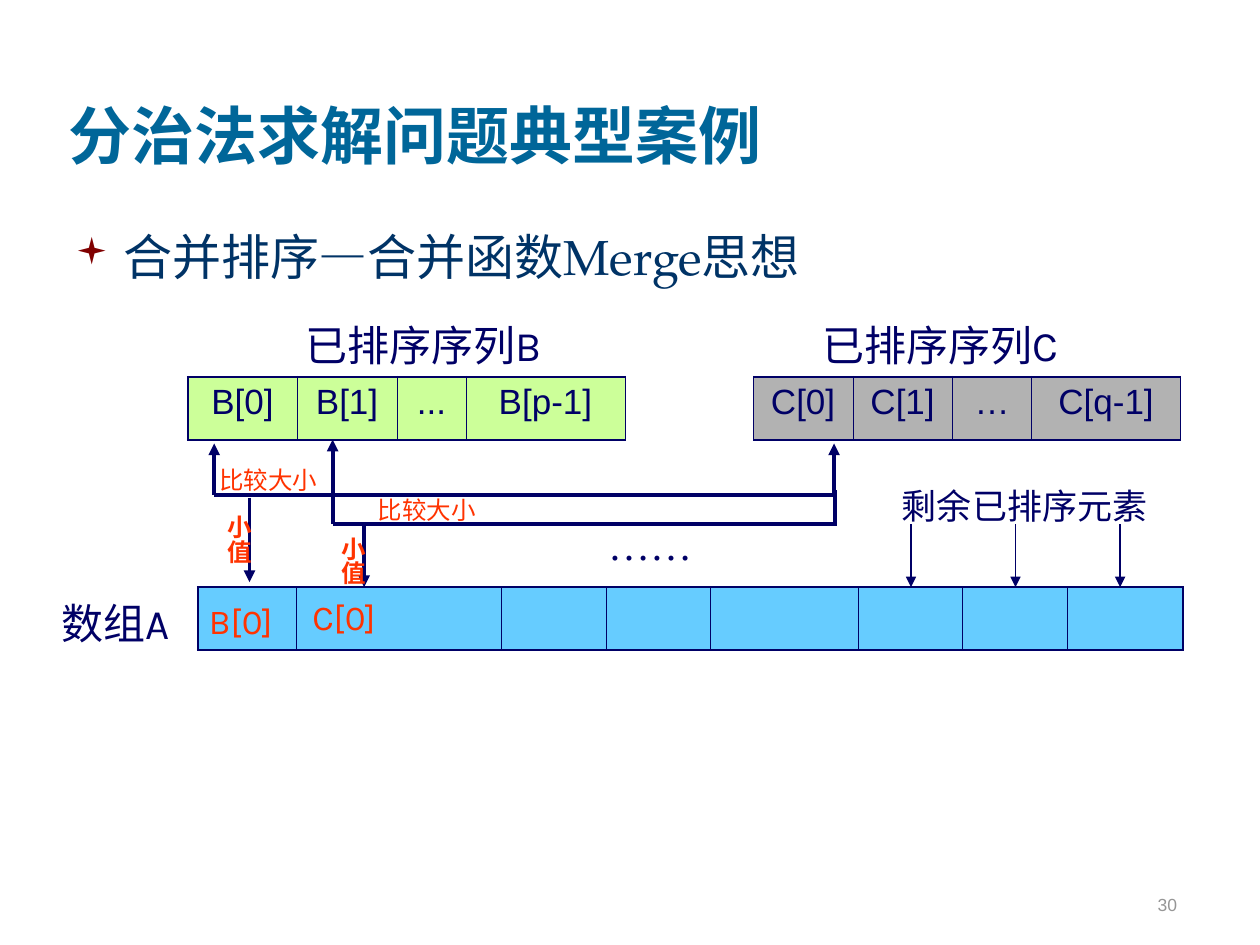
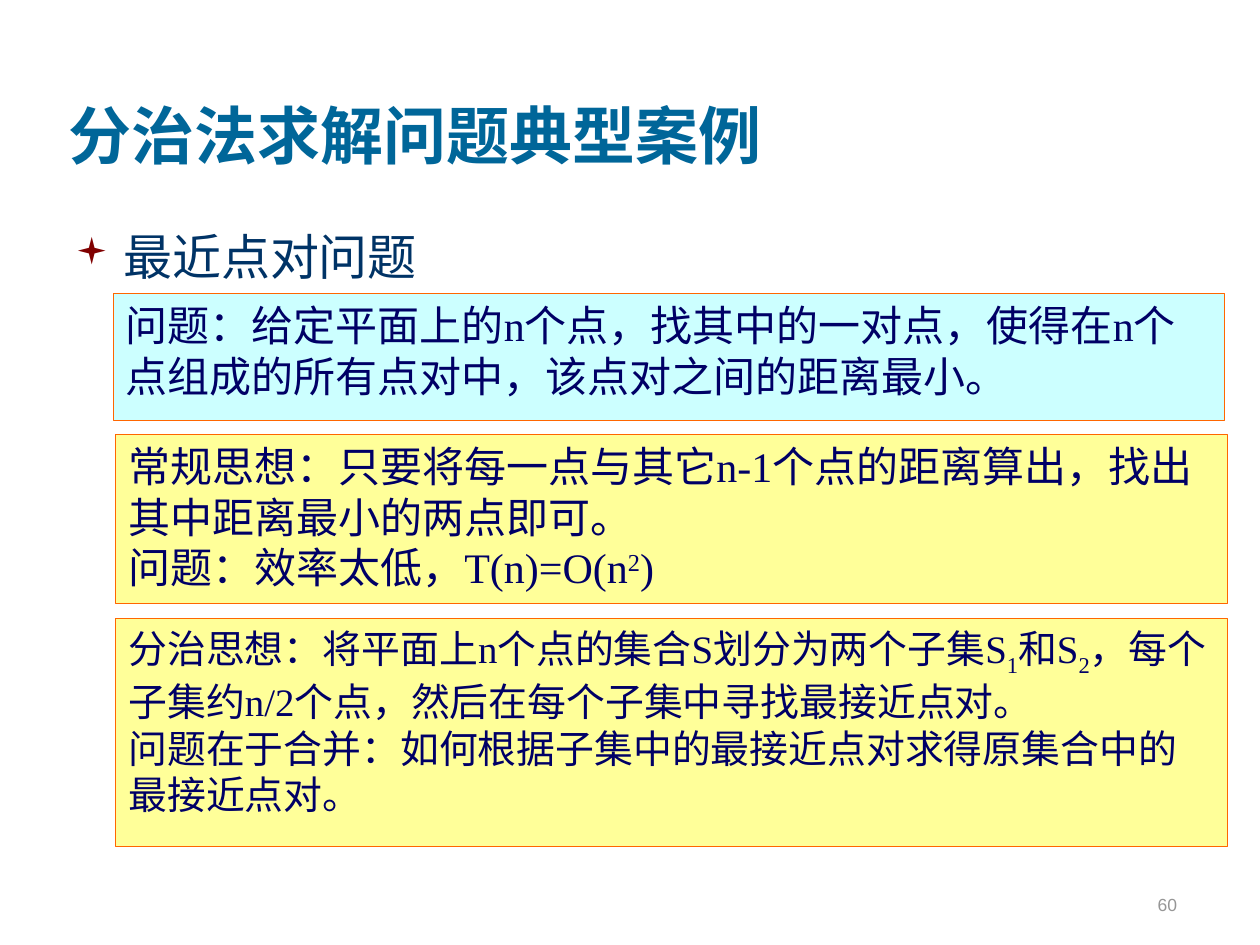
"""Build two slides on divide and conquer: merging sorted arrays and the closest pair."""
from lxml import etree
from pptx import Presentation
from pptx.dml.color import RGBColor
from pptx.enum import shapes, text
from pptx.oxml import ns
from pptx.util import Inches, Pt

C = {"title": "006699", "body": "003366", "bullet": "800000", "navy": "000066",
     "red": "FF3300", "page": "969696", "orange": "FF6600", "green": "CCFF99",
     "grey": "B2B2B2", "blue": "66CCFF", "white": "FFFFFF", "cyan": "CCFFFF",
     "yellow": "FFFF99"}
LEFT, CENTER, RIGHT = text.PP_ALIGN.LEFT, text.PP_ALIGN.CENTER, text.PP_ALIGN.RIGHT


def write(tf, paras, size, font, color, bold=False, align=LEFT):
    """Fill a text frame; each paragraph is a list of (text, baseline) runs."""
    for i, runs in enumerate(paras):
        p = tf.add_paragraph() if i else tf.paragraphs[0]
        p.alignment = align
        for words, baseline in runs:
            r = p.add_run()
            r.text = words
            r.font.size, r.font.name, r.font.bold = Pt(size), font, bold
            r.font.color.rgb = RGBColor.from_string(C[color])
            if baseline:
                r.font._element.set("baseline", str(baseline * 1000))


def add_line(s, x1, y1, x2, y2, width=2.25, arrow=True):
    """Draw a navy line, with an arrowhead at its end if wanted."""
    sp = s.shapes.add_connector(shapes.MSO_CONNECTOR.STRAIGHT, *map(Inches, (x1, y1, x2, y2)))
    sp.line.color.rgb = RGBColor.from_string(C["navy"])
    sp.line.width = Pt(width)
    if arrow:
        etree.SubElement(sp.line._get_or_add_ln(), ns.qn("a:tailEnd"), type="triangle")
    etree.SubElement(sp._element.spPr, ns.qn("a:effectLst"))


prs = Presentation()
prs.slide_width, prs.slide_height = Inches(10), Inches(7.5)

slides = []
for topic, page in [("合并排序—合并函数Merge思想", "30"), ("最近点对问题", "60")]:
    s = prs.slides.add_slide(prs.slide_layouts[5])
    slides.append(s)
    title = s.shapes.title
    title.left, title.top, title.width, title.height = map(Inches, (0.44, 0.17, 8.5, 1.25))
    tf = title.text_frame
    tf.auto_size = text.MSO_AUTO_SIZE.NONE
    tf.vertical_anchor = text.MSO_ANCHOR.BOTTOM
    write(tf, [[("分治法求解问题典型案例", 0)]], 36, "Times New Roman", "title", bold=True)

    tf = s.shapes.add_textbox(*map(Inches, (0.5, 1.75, 8.94, 4.88))).text_frame
    tf.word_wrap = True
    pPr = tf.paragraphs[0]._p.get_or_add_pPr()
    pPr.set("marL", str(Inches(0.38)))
    pPr.set("indent", str(-Inches(0.38)))
    clr = etree.SubElement(pPr, ns.qn("a:buClr"))
    etree.SubElement(clr, ns.qn("a:srgbClr"), val=C["bullet"])
    etree.SubElement(pPr, ns.qn("a:buSzPct"), val="75000")
    etree.SubElement(pPr, ns.qn("a:buFont"), typeface="Wingdings", charset="2")
    etree.SubElement(pPr, ns.qn("a:buChar"), char="▪")
    write(tf, [[(topic, 0)]], 28, "TeX Gyre Pagella", "body")

    tf = s.shapes.add_textbox(*map(Inches, (7.36, 6.81, 2.08, 0.5))).text_frame
    tf.word_wrap = True
    tf.vertical_anchor = text.MSO_ANCHOR.BOTTOM
    write(tf, [[(page, 0)]], 10, "Arial", "page", align=RIGHT)

merge, closest = slides

sequences = [("B[0]", 0.87, "green"), ("B[1]", 0.79, "green"), ("...", 0.55, "green"),
             ("B[p-1]", 1.26, "green"), ("", 1.02, "white"), ("C[0]", 0.79, "grey"),
             ("C[1]", 0.79, "grey"), ("…", 0.63, "grey"), ("C[q-1]", 1.18, "grey")]
array = [("", w, "blue") for w in (0.78, 1.63, 0.83, 0.83, 1.17, 0.83, 0.83, 0.92)]
for x, y, cells in [(1.49, 2.99, sequences), (1.57, 4.66, array)]:
    width = sum(w for _, w, _ in cells)
    tbl = merge.shapes.add_table(1, len(cells), *map(Inches, (x, y, width, 0.5))).table
    tbl.first_row = tbl.horz_banding = False
    for i, (words, w, fill) in enumerate(cells):
        tbl.columns[i].width = Inches(w)
        cell = tbl.cell(0, i)
        if words:
            write(cell.text_frame, [[(words, 0)]], 20, "Arial", "navy", align=CENTER)
        edge = 0 if fill == "white" else 1.08
        borders = {"lnL": 0.45 if i else 1.08, "lnR": 0.45 if i < len(cells) - 1 else 1.08,
                   "lnT": edge, "lnB": edge}
        tcPr = cell._tc.get_or_add_tcPr()
        for tag, pts in borders.items():
            ln = etree.SubElement(tcPr, ns.qn("a:" + tag), w=str(Pt(pts)))
            if pts:
                solid = etree.SubElement(ln, ns.qn("a:solidFill"))
                etree.SubElement(solid, ns.qn("a:srgbClr"), val=C["navy"])
            else:
                etree.SubElement(ln, ns.qn("a:noFill"))
        cell.fill.solid()
        cell.fill.fore_color.rgb = RGBColor.from_string(C[fill])

for x1, y1, x2, y2, arrow in [
        (1.7, 3.93, 1.7, 3.52, True), (1.7, 3.93, 6.62, 3.93, False),
        (6.62, 3.93, 6.62, 3.52, True), (1.98, 3.95, 1.98, 4.62, True),
        (2.64, 4.16, 2.64, 3.49, True), (2.64, 4.16, 6.64, 4.16, False),
        (6.63, 4.14, 6.63, 3.89, False), (2.89, 4.16, 2.89, 4.66, True)]:
    add_line(merge, x1, y1, x2, y2, arrow=arrow)
for i in range(3):
    x = 7.23 + 0.83 * i
    add_line(merge, x, 4.16, x, 4.66, width=0.75)

for words, x, y, w, h, size, font, color in [
        ("已排序序列B", 2.33, 2.49, 2.16, 0.5, 24, "Karla", "navy"),
        ("已排序序列C", 6.43, 2.49, 2.15, 0.5, 24, "Karla", "navy"),
        ("数组A", 0.34, 4.69, 1.16, 0.5, 24, "Karla", "navy"),
        ("比较大小", 1.64, 3.64, 0.98, 0.34, 14, "Karla", "red"),
        ("比较大小", 2.9, 3.88, 0.98, 0.34, 14, "Karla", "red"),
        ("小值", 1.63, 3.99, 0.43, 0.49, 14, "Karla", "red"),
        ("小值", 2.54, 4.16, 0.43, 0.49, 14, "Karla", "red"),
        ("B[0]", 1.56, 4.71, 0.72, 0.44, 20, "Karla", "red"),
        ("C[0]", 2.38, 4.68, 0.72, 0.44, 20, "Karla", "red"),
        ("……", 4.69, 4.07, 0.94, 0.5, 24, "Times New Roman", "navy"),
        ("剩余已排序元素", 7.06, 3.8, 2.15, 0.44, 20, "Karla", "navy")]:
    tf = merge.shapes.add_textbox(*map(Inches, (x, y, w, h))).text_frame
    tf.word_wrap = False
    tf.auto_size = text.MSO_AUTO_SIZE.SHAPE_TO_FIT_TEXT
    vertical = words == "小值"
    if vertical:
        tf._txBody.bodyPr.set("vert", "eaVert")
    write(tf, [[(words, 0)]], size, font, color, bold=vertical,
          align=CENTER if words in ("数组A", "……") else LEFT)

problem = [[("问题：给定平面上的n个点，找其中的一对点，使得在n个点组成的所有点对中，该点对之间的距离最小。", 0)]]
usual = [[("常规思想：只要将每一点与其它n-1个点的距离算出，找出其中距离最小的两点即可。", 0)],
         [("问题：效率太低，T(n)=O(n", 0), ("2", 30), (")", 0)]]
divide = [[("分治思想：将平面上n个点的集合S划分为两个子集S", 0), ("1", -25), ("和S", 0), ("2", -25),
           ("，每个子集约n/2个点，然后在每个子集中寻找最接近点对。", 0)],
          [("问题在于合并：如何根据子集中的最接近点对求得原集合中的最接近点对。", 0)]]
for paras, x, y, h, size, fill in [(problem, 0.9, 2.33, 1.01, 24, "cyan"),
                                   (usual, 0.92, 3.45, 1.34, 24, "yellow"),
                                   (divide, 0.92, 4.91, 1.81, 22.2, "yellow")]:
    sp = closest.shapes.add_shape(shapes.MSO_SHAPE.RECTANGLE, *map(Inches, (x, y, 8.82, h)))
    sp.shadow.inherit = False
    sp.fill.solid()
    sp.fill.fore_color.rgb = RGBColor.from_string(C[fill])
    sp.line.color.rgb = RGBColor.from_string(C["orange"])
    sp.line.width = Pt(0.5)
    tf = sp.text_frame
    tf.word_wrap = True
    tf.vertical_anchor = text.MSO_ANCHOR.TOP
    write(tf, paras, size, "Times New Roman", "navy")

prs.save("out.pptx")
